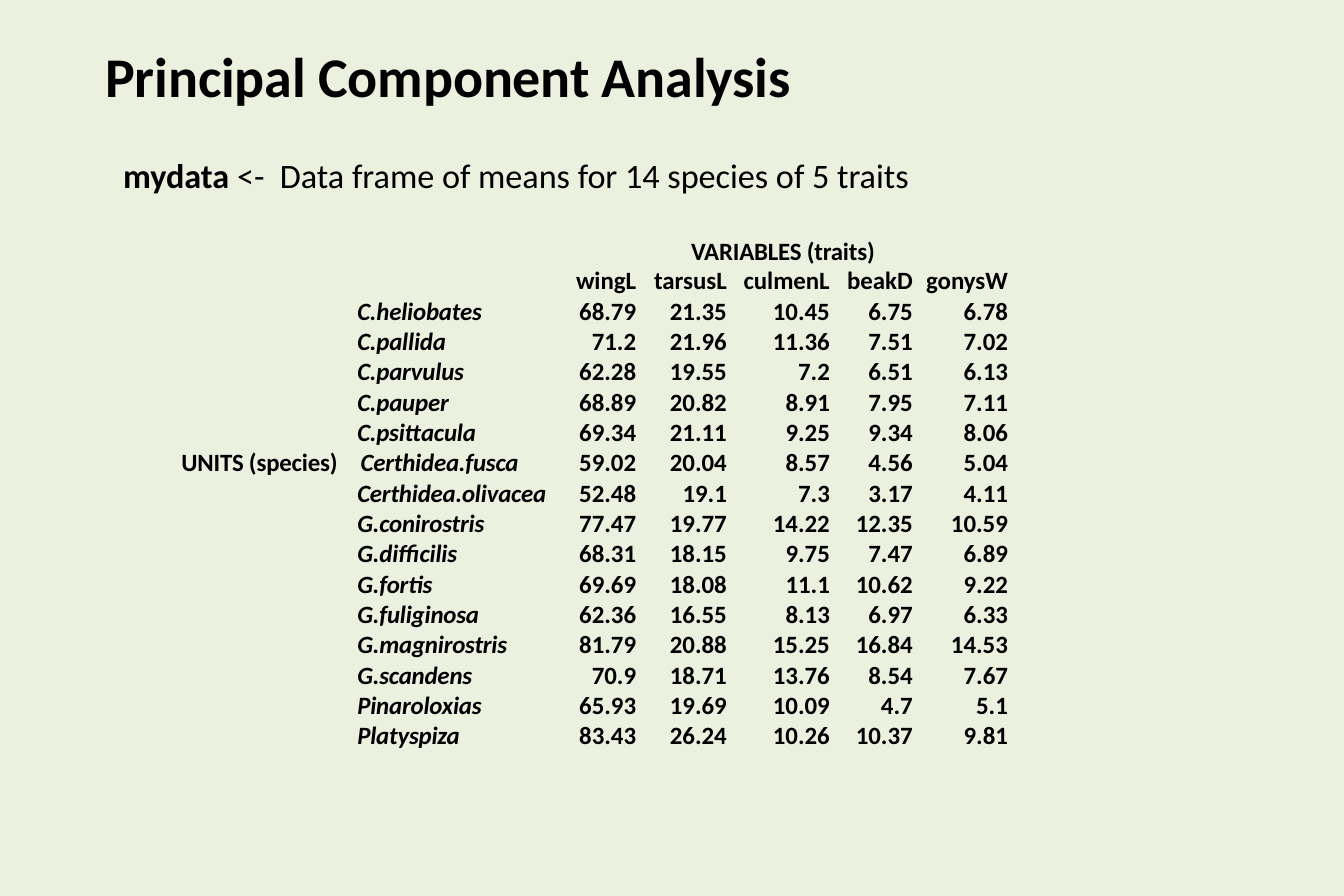
from lxml import etree
from pptx import Presentation
from pptx.dml.color import RGBColor
from pptx.enum.text import MSO_ANCHOR, PP_ALIGN
from pptx.oxml.ns import qn
from pptx.util import Inches, Pt

LEFT, RIGHT = PP_ALIGN.LEFT, PP_ALIGN.RIGHT
TOP = MSO_ANCHOR.TOP
BLACK = RGBColor(0x00, 0x00, 0x00)
PALE_GREEN = RGBColor(0xEB, 0xF1, 0xDE)
NO_STYLE_NO_GRID = "{2D5ABB26-0587-4C30-8999-92F81FD0307C}"
TIGHT = -10  # letter spacing in hundredths of a point

TRAITS = ["wingL", "tarsusL", "culmenL", "beakD", "gonysW"]
SPECIES_MEANS = [
    ("C.heliobates", 68.79, 21.35, 10.45, 6.75, 6.78),
    ("C.pallida", 71.2, 21.96, 11.36, 7.51, 7.02),
    ("C.parvulus", 62.28, 19.55, 7.2, 6.51, 6.13),
    ("C.pauper", 68.89, 20.82, 8.91, 7.95, 7.11),
    ("C.psittacula", 69.34, 21.11, 9.25, 9.34, 8.06),
    ("Certhidea.fusca", 59.02, 20.04, 8.57, 4.56, 5.04),
    ("Certhidea.olivacea", 52.48, 19.1, 7.3, 3.17, 4.11),
    ("G.conirostris", 77.47, 19.77, 14.22, 12.35, 10.59),
    ("G.difficilis", 68.31, 18.15, 9.75, 7.47, 6.89),
    ("G.fortis", 69.69, 18.08, 11.1, 10.62, 9.22),
    ("G.fuliginosa", 62.36, 16.55, 8.13, 6.97, 6.33),
    ("G.magnirostris", 81.79, 20.88, 15.25, 16.84, 14.53),
    ("G.scandens", 70.9, 18.71, 13.76, 8.54, 7.67),
    ("Pinaroloxias", 65.93, 19.69, 10.09, 4.7, 5.1),
    ("Platyspiza", 83.43, 26.24, 10.26, 10.37, 9.81),
]
UNITS_ROW = "Certhidea.fusca"
COLUMN_WIDTHS = [3.4, 0.69, 0.81, 0.92, 0.74, 0.85]
NAME_INDENT = Inches(1.6)


class FinchSlide:
    font_name = "Calibri"
    table_size = 16
    row_spacing = Pt(18.5)

    def __init__(self, presentation):
        self.slide = presentation.slides.add_slide(presentation.slide_layouts[5])
        fill = self.slide.background.fill
        fill.solid()
        fill.fore_color.rgb = PALE_GREEN

    def add_runs(self, paragraph, runs, size):
        """Add (text, bold, italic, spacing) runs to a paragraph."""
        for text, bold, italic, spacing in runs:
            run = paragraph.add_run()
            run.text = text
            font = run.font
            font.name, font.size = self.font_name, Pt(size)
            font.bold, font.italic = bold, italic
            font.color.rgb = BLACK
            run._r.get_or_add_rPr().set("spc", str(spacing))

    def place(self, shape, box, runs, size):
        shape.left, shape.top, shape.width, shape.height = map(Inches, box)
        frame = shape.text_frame
        frame.word_wrap = True
        frame.vertical_anchor = TOP
        paragraph = frame.paragraphs[0]
        paragraph.alignment = LEFT
        self.add_runs(paragraph, runs, size)
        return frame

    def title(self, text, box):
        self.place(self.slide.shapes.title, box, [(text, True, False, TIGHT)], 36)

    def label(self, runs, box, size):
        frame = self.place(self.slide.shapes.add_textbox(0, 0, 0, 0), box, runs, size)
        frame.margin_left = frame.margin_right = frame.margin_bottom = 0
        frame.margin_top = Inches(0.01)

    def cell(self, cell, runs, alignment=RIGHT, indent=0, tab=None):
        cell.margin_left = cell.margin_right = 0
        cell.margin_top = cell.margin_bottom = 0
        cell.fill.background()
        paragraph = cell.text_frame.paragraphs[0]
        paragraph.alignment = alignment
        paragraph.line_spacing = self.row_spacing
        properties = paragraph._p.get_or_add_pPr()
        properties.set("marL", str(indent))
        if tab:
            tabs = etree.SubElement(properties, qn("a:tabLst"))
            etree.SubElement(tabs, qn("a:tab"), pos=str(tab), algn="l")
        paragraph.font.size = Pt(self.table_size)
        self.add_runs(paragraph, runs, self.table_size)

    def means_table(self, box):
        frame = self.slide.shapes.add_table(
            len(SPECIES_MEANS) + 1, len(COLUMN_WIDTHS), *map(Inches, box))
        table = frame.table
        table.first_row = table.horz_banding = False
        table._tbl.tblPr.find(qn("a:tableStyleId")).text = NO_STYLE_NO_GRID
        for column, width in zip(table.columns, COLUMN_WIDTHS):
            column.width = Inches(width)

        # Trait names
        self.cell(table.cell(0, 0), [])
        for col, trait in enumerate(TRAITS, 1):
            self.cell(table.cell(0, col), [(trait, True, False, 0)])

        # Species names and their means
        for row, (species, *means) in enumerate(SPECIES_MEANS, 1):
            name = [(species, True, True, TIGHT)]
            if species == UNITS_ROW:
                units = [("UNITS (species)\t", True, False, TIGHT)]
                self.cell(table.cell(row, 0), units + name, LEFT,
                          Inches(0.03), NAME_INDENT)
            else:
                self.cell(table.cell(row, 0), name, LEFT, NAME_INDENT)
            for col, mean in enumerate(means, 1):
                self.cell(table.cell(row, col), [(str(mean), True, False, 0)])


def main():
    presentation = Presentation()
    presentation.slide_width, presentation.slide_height = Inches(12), Inches(8)
    finches = FinchSlide(presentation)

    # Headings
    finches.title("Principal Component Analysis", (0.84, 0.32, 7.08, 0.71))
    finches.label([("mydata", True, False, 0),
                   (" <-  Data frame of means for 14 species of 5 traits",
                    False, False, 0)],
                  (1.1, 1.37, 8.83, 0.38), 22)

    # Data frame
    finches.label([("VARIABLES (traits)", True, False, TIGHT)],
                  (6.17, 2.09, 1.72, 0.3), 16)
    finches.means_table((1.59, 2.39, 7.41, 4.34))

    presentation.save("out.pptx")


if __name__ == "__main__":
    main()
